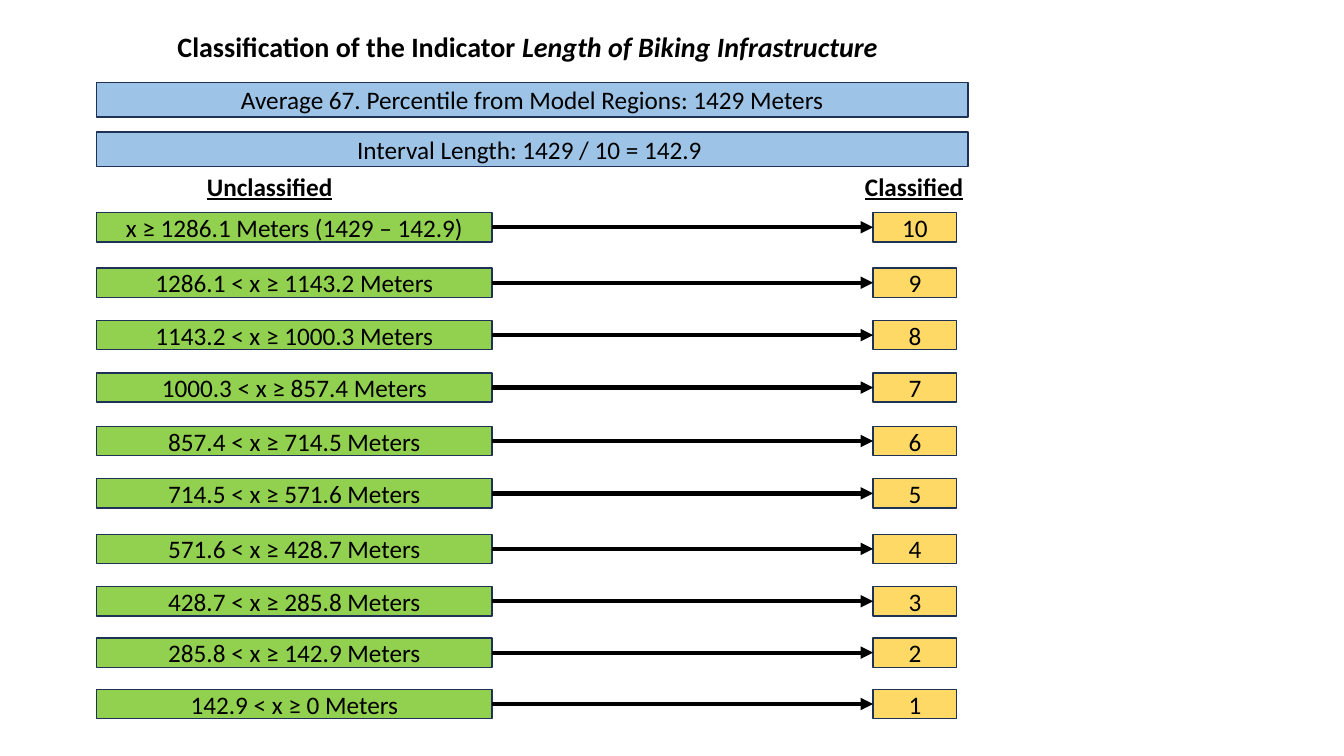
from lxml import etree
from pptx import Presentation
from pptx.dml.color import RGBColor
from pptx.enum.shapes import MSO_CONNECTOR, MSO_SHAPE
from pptx.enum.text import MSO_ANCHOR, MSO_AUTO_SIZE, PP_ALIGN
from pptx.oxml.ns import qn
from pptx.util import Inches, Pt

RECTANGLE, STRAIGHT = MSO_SHAPE.RECTANGLE, MSO_CONNECTOR.STRAIGHT
TOP, MIDDLE = MSO_ANCHOR.TOP, MSO_ANCHOR.MIDDLE
LEFT, CENTER = PP_ALIGN.LEFT, PP_ALIGN.CENTER
LEFT_SITE, RIGHT_SITE = 1, 3

BLACK = RGBColor(0x00, 0x00, 0x00)
NAVY = RGBColor(0x1E, 0x32, 0x56)
BLUE = RGBColor(0x9D, 0xC3, 0xE6)
GREEN = RGBColor(0x92, 0xD0, 0x50)
YELLOW = RGBColor(0xFF, 0xD9, 0x66)

# Content
TITLE = [("Classification of the Indicator ", False),
         ("Length of Biking Infrastructure", True)]
BANNERS = ["Average 67. Percentile from Model Regions: 1429 Meters",
           "Interval Length: 1429 / 10 = 142.9 "]
CLASSES = [  # range, row top; scores count down from 10
    ("x ≥ 1286.1 Meters (1429 – 142.9)", 2.11),
    ("1286.1 < x ≥ 1143.2 Meters", 2.66),
    ("1143.2 < x ≥ 1000.3 Meters", 3.18),
    ("1000.3 < x ≥ 857.4 Meters", 3.7),
    ("857.4 < x ≥ 714.5 Meters", 4.23),
    ("714.5 < x ≥ 571.6 Meters", 4.75),
    ("571.6 < x ≥ 428.7 Meters", 5.3),
    ("428.7 < x ≥ 285.8 Meters", 5.82),
    ("285.8 < x ≥ 142.9 Meters", 6.33),
    ("142.9 < x ≥ 0 Meters", 6.84),
]

# Layout
RANGE_LEFT, RANGE_WIDTH = 0.96, 3.92
SCORE_LEFT, SCORE_WIDTH = 8.66, 0.83
ROW_HEIGHT = 0.29
BANNER_TOP, BANNER_STEP, BANNER_WIDTH, BANNER_HEIGHT = 0.82, 0.49, 8.64, 0.34


def add_run(paragraph, text, size=18, bold=False, italic=False, underline=False):
    run = paragraph.add_run()
    run.text = text
    font = run.font
    font.name, font.size, font.color.rgb = "Calibri", Pt(size), BLACK
    font.bold, font.italic, font.underline = bold, italic, underline


def add_box(text, left, top, width, height, fill):
    box = slide.shapes.add_shape(
        RECTANGLE, Inches(left), Inches(top), Inches(width), Inches(height))
    box.shadow.inherit = False
    box.fill.solid()
    box.fill.fore_color.rgb = fill
    box.line.color.rgb = NAVY
    box.line.width = Pt(1)
    box.text_frame.vertical_anchor = MIDDLE
    paragraph = box.text_frame.paragraphs[0]
    paragraph.alignment = CENTER
    add_run(paragraph, text)
    return box


def add_heading(text, left, top, width, height, anchor, align, wrap):
    frame = slide.shapes.add_textbox(
        Inches(left), Inches(top), Inches(width), Inches(height)).text_frame
    frame.word_wrap = wrap
    frame.vertical_anchor = anchor
    frame.paragraphs[0].alignment = align
    add_run(frame.paragraphs[0], text, bold=True, underline=True)


def add_arrow(source, target):
    arrow = slide.shapes.add_connector(STRAIGHT, 0, 0, 0, 0)
    arrow.begin_connect(source, RIGHT_SITE)
    arrow.end_connect(target, LEFT_SITE)
    arrow.line.color.rgb = BLACK
    arrow.line.width = Pt(3)
    etree.SubElement(arrow.line._get_or_add_ln(), qn("a:tailEnd"), type="triangle")
    etree.SubElement(arrow._element.spPr, qn("a:effectLst"))


presentation = Presentation()
presentation.slide_width, presentation.slide_height = Inches(13.33), Inches(7.5)
slide = presentation.slides.add_slide(presentation.slide_layouts[5])

# Title
title = slide.shapes.title
title.left, title.top = Inches(1.66), Inches(0.24)
title.width, title.height = Inches(7.46), Inches(0.44)
title.text_frame.auto_size = MSO_AUTO_SIZE.NONE
title.text_frame.word_wrap = True
title.text_frame.vertical_anchor = TOP
title_line = title.text_frame.paragraphs[0]
title_line.alignment = LEFT
for words, italic in TITLE:
    add_run(title_line, words, size=20, bold=True, italic=italic)

# Banners
for index, banner in enumerate(BANNERS):
    add_box(banner, RANGE_LEFT, BANNER_TOP + index * BANNER_STEP,
            BANNER_WIDTH, BANNER_HEIGHT, BLUE)

# Column headings
add_heading("Unclassified", 1.59, 1.68, 2.17, 0.34, MIDDLE, CENTER, True)
add_heading("Classified", 8.48, 1.65, 1.19, 0.4, TOP, LEFT, False)

# Ranges, scores and the arrows between them
for index, (meters, top) in enumerate(CLASSES):
    score = len(CLASSES) - index
    range_box = add_box(meters, RANGE_LEFT, top, RANGE_WIDTH, ROW_HEIGHT, GREEN)
    score_box = add_box(str(score), SCORE_LEFT, top, SCORE_WIDTH, ROW_HEIGHT, YELLOW)
    add_arrow(range_box, score_box)

presentation.save("out.pptx")
